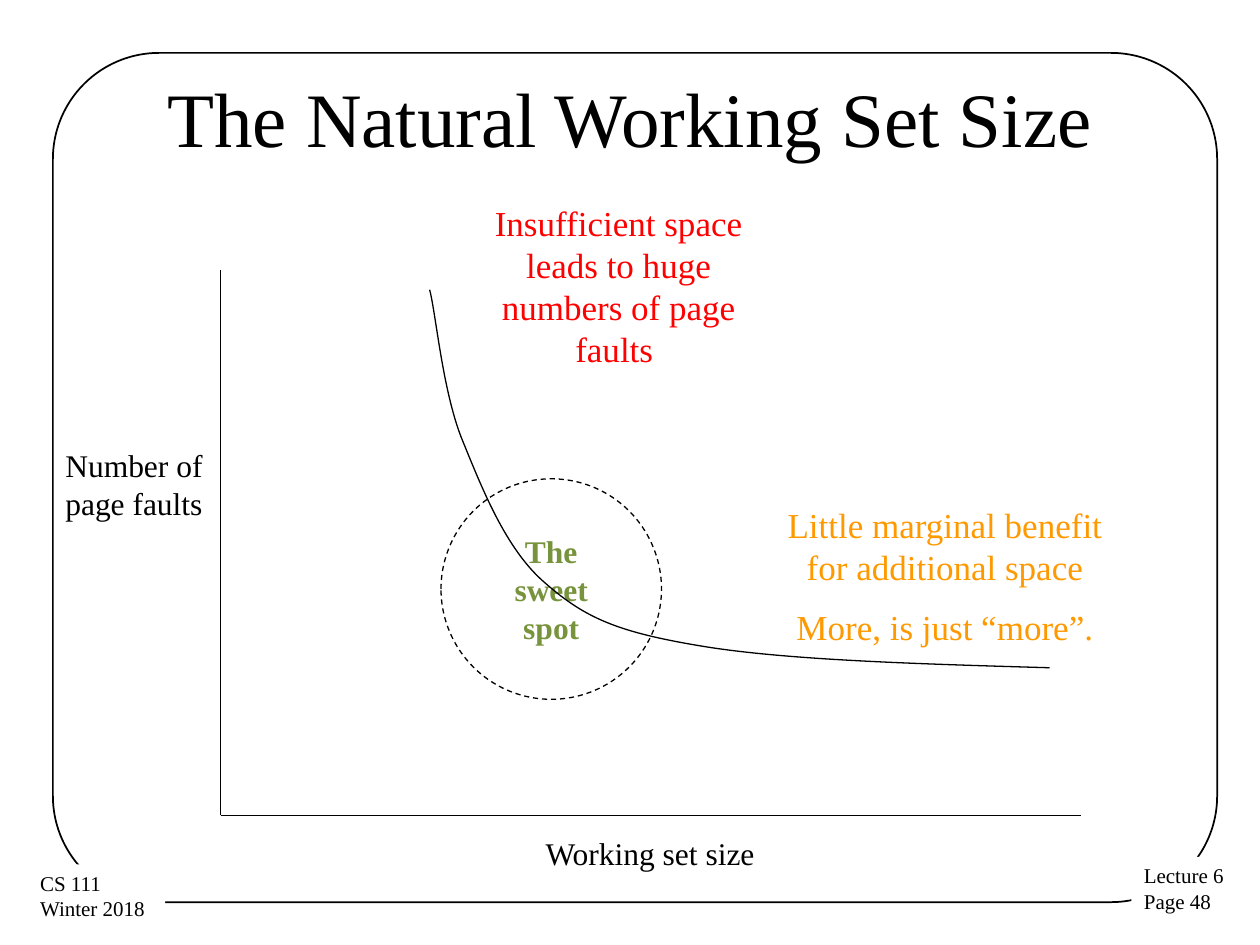
from dataclasses import dataclass

from lxml.etree import SubElement
from pptx import Presentation
from pptx.dml.color import RGBColor
from pptx.enum.dml import MSO_LINE
from pptx.enum.shapes import MSO_CONNECTOR, MSO_SHAPE
from pptx.enum.text import MSO_ANCHOR, MSO_AUTO_SIZE, PP_ALIGN
from pptx.oxml.ns import qn
from pptx.util import Inches, Pt


@dataclass(frozen=True)
class Theme:
    font: str = "Times New Roman"
    black: str = "000000"
    white: str = "FFFFFF"
    red: str = "FF0000"
    orange: str = "FF9900"
    green: str = "77933C"
    title: int = 44
    note: int = 20
    label: int = 18
    footer: int = 12
    thin: float = 0.75
    frame: float = 1


THEME = Theme()
WIDTH, HEIGHT = 10, 7.5
ORIGIN_X, ORIGIN_Y = 1.75, 6.47
AXIS_TOP, AXIS_RIGHT = 2.14, 8.58


def rgb(value):
    return RGBColor.from_string(value)


def write(tf, lines, size, color, align=PP_ALIGN.LEFT, bold=False, gap=0):
    """Write one paragraph per line, with a gap between paragraphs."""
    for i, line in enumerate(lines):
        p = tf.paragraphs[0] if i == 0 else tf.add_paragraph()
        p.alignment = align
        p.space_before = Pt(gap if i else 0)
        r = p.add_run()
        r.text = line
        r.font.name = THEME.font
        r.font.size = Pt(size)
        r.font.bold = bold
        r.font.color.rgb = rgb(color)


def outline(sp, width=THEME.thin):
    sp.line.color.rgb = rgb(THEME.black)
    sp.line.width = Pt(width)


def add_outline_shape(s, kind, box, width=THEME.thin):
    sp = s.shapes.add_shape(kind, *map(Inches, box))
    sp.shadow.inherit = False
    sp.fill.background()
    outline(sp, width)
    return sp


def add_text(s, box, lines, size, color=THEME.black, align=PP_ALIGN.CENTER):
    sp = s.shapes.add_textbox(*map(Inches, box))
    tf = sp.text_frame
    tf.word_wrap = True
    tf.auto_size = MSO_AUTO_SIZE.SHAPE_TO_FIT_TEXT
    write(tf, lines, size, color, align, gap=size / 2)


def add_footer(s, box, lines):
    """White label that interrupts the frame at a corner."""
    sp = s.shapes.add_textbox(*map(Inches, box))
    sp.fill.solid()
    sp.fill.fore_color.rgb = rgb(THEME.white)
    sp.text_frame.word_wrap = False
    sp.text_frame.auto_size = MSO_AUTO_SIZE.SHAPE_TO_FIT_TEXT
    write(sp.text_frame, lines, THEME.footer, THEME.black)


def add_axis(s, x, y):
    """Draw an axis from the chart origin to (x, y)."""
    ends = map(Inches, (ORIGIN_X, ORIGIN_Y, x, y))
    sp = s.shapes.add_connector(MSO_CONNECTOR.STRAIGHT, *ends)
    outline(sp)
    SubElement(sp._element.spPr, qn("a:effectLst"))


def add_curve(s, start, controls):
    """Draw Bezier segments; each takes three of the control points."""
    builder = s.shapes.build_freeform(*map(Inches, start))
    builder.add_line_segments([(Inches(x), Inches(y)) for x, y in controls],
                              close=False)
    sp = builder.convert_to_shape()
    sp.shadow.inherit = False
    sp.fill.background()
    outline(sp)
    # Turn every three line points into one cubic segment
    path = next(sp._element.iter(qn("a:path")))
    steps = path.findall(qn("a:lnTo"))
    for i in range(0, len(steps), 3):
        segment = SubElement(path, qn("a:cubicBezTo"))
        for step in steps[i:i + 3]:
            segment.append(step[0])
            path.remove(step)


def add_title(s, text):
    sp = s.shapes.title
    sp.left, sp.top = Inches(WIDTH * 0.05), Inches(HEIGHT * 0.04)
    sp.width, sp.height = Inches(WIDTH * 0.9), Inches(1.25)
    sp.text_frame.vertical_anchor = MSO_ANCHOR.MIDDLE
    write(sp.text_frame, [text], THEME.title, THEME.black, PP_ALIGN.CENTER)


def main():
    prs = Presentation()
    prs.slide_width, prs.slide_height = Inches(WIDTH), Inches(HEIGHT)
    s = prs.slides.add_slide(prs.slide_layouts[5])

    # Frame, footers and title
    frame = add_outline_shape(s, MSO_SHAPE.ROUNDED_RECTANGLE,
                              (0.42, 0.42, 9.24, 6.74), THEME.frame)
    frame.adjustments[0] = 0.125
    add_footer(s, (8.98, 6.8, 0.85, 0.51), ["Lecture 6", "Page 48"])
    add_footer(s, (0.22, 6.86, 1.09, 0.51), ["CS 111", "Winter 2018 "])
    add_title(s, "The Natural Working Set Size")

    # Axes and their labels
    add_axis(s, ORIGIN_X, AXIS_TOP)
    add_axis(s, AXIS_RIGHT, ORIGIN_Y)
    add_text(s, (0.42, 3.49, 1.51, 1.31), ["Number of page faults"],
             THEME.label, align=PP_ALIGN.LEFT)
    add_text(s, (3.66, 6.57, 3, 0.51), ["Working set size"], THEME.label)

    # Sweet spot
    spot = add_outline_shape(s, MSO_SHAPE.OVAL, (3.5, 3.8, 1.75, 1.75))
    spot.line.dash_style = MSO_LINE.DASH
    spot.text_frame.word_wrap = False
    spot.text_frame.vertical_anchor = MSO_ANCHOR.MIDDLE
    write(spot.text_frame, ["The", "sweet", "spot"], THEME.label,
          THEME.green, PP_ALIGN.CENTER, bold=True)

    # Notes on both ends of the curve
    add_text(s, (3.66, 1.55, 2.5, 1.45),
             ["Insufficient space leads to huge numbers of page faults "],
             THEME.note, THEME.red)
    add_text(s, (6.12, 3.95, 2.76, 1.28),
             ["Little marginal benefit for additional space",
              "More, is just “more”."], THEME.note, THEME.orange)

    # Page fault curve
    add_curve(s, (8.33, 5.3), [
        (7.29, 5.27), (6.25, 5.24), (5.58, 5.13),
        (4.91, 5.02), (4.65, 4.91), (4.33, 4.63),
        (4.01, 4.36), (3.82, 3.86), (3.66, 3.47),
        (3.51, 3.08), (3.46, 2.49), (3.41, 2.3)])

    prs.save("out.pptx")


main()
